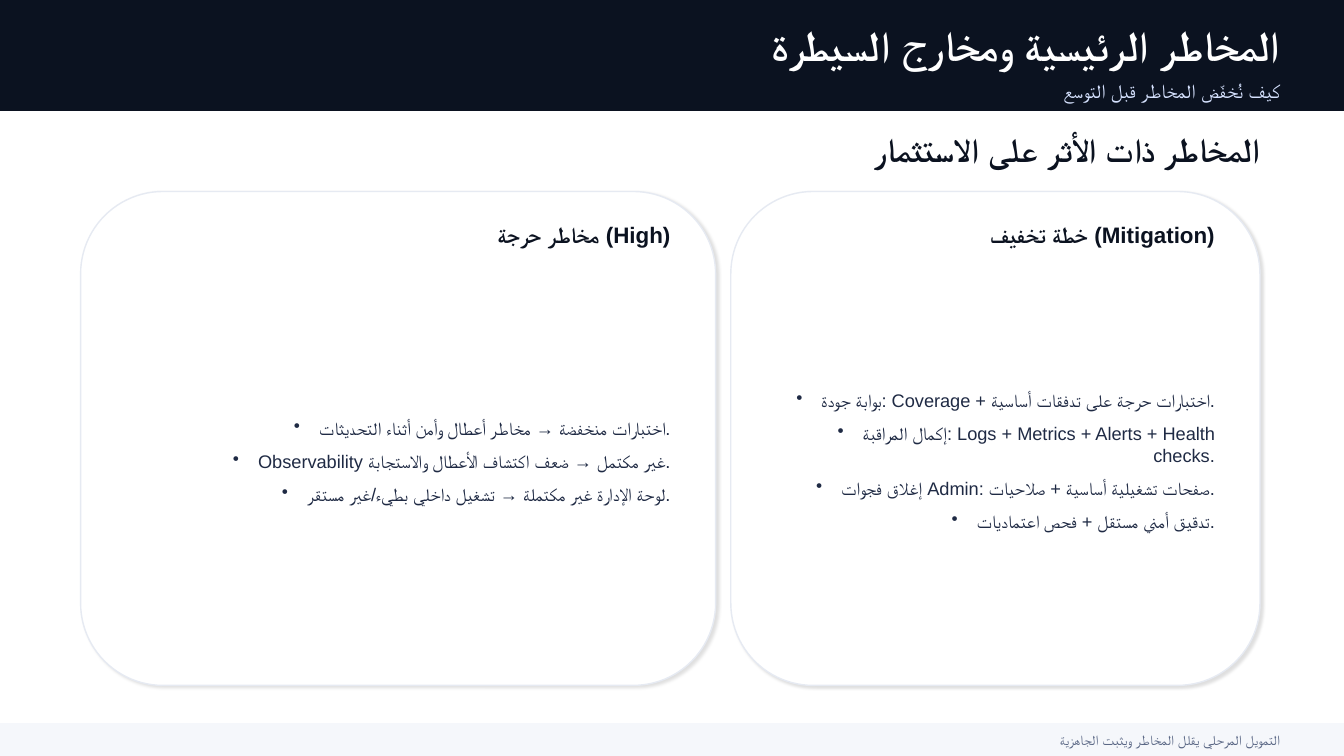
from lxml import etree
from pptx import Presentation
from pptx.dml.color import RGBColor
from pptx.enum.lang import MSO_LANGUAGE_ID
from pptx.enum.shapes import MSO_SHAPE
from pptx.enum.text import MSO_ANCHOR, PP_ALIGN
from pptx.oxml.ns import qn
from pptx.util import Pt

RECT = MSO_SHAPE.RECTANGLE
ROUNDED = MSO_SHAPE.ROUNDED_RECTANGLE
MIDDLE = MSO_ANCHOR.MIDDLE
RIGHT = PP_ALIGN.RIGHT
ENGLISH = MSO_LANGUAGE_ID.ENGLISH_US

PAGE_WIDTH, PAGE_HEIGHT = 960, 540
CARD_TOP, CARD_HEIGHT, CARD_LEFT, CARD_GAP = 136.8, 352.8, 57.6, 10.8
CARD_INSET = 25.2

CARDS = [
    (453.6, "مخاطر حرجة (High)", [
        "اختبارات منخفضة → مخاطر أعطال وأمن أثناء التحديثات.",
        "Observability غير مكتمل → ضعف اكتشاف الأعطال والاستجابة.",
        "لوحة الإدارة غير مكتملة → تشغيل داخلي بطيء/غير مستقر.",
    ]),
    (378, "خطة تخفيف (Mitigation)", [
        "بوابة جودة: Coverage + اختبارات حرجة على تدفقات أساسية.",
        "إكمال المراقبة: Logs + Metrics + Alerts + Health checks.",
        "إغلاق فجوات Admin: صفحات تشغيلية أساسية + صلاحيات.",
        "تدقيق أمني مستقل + فحص اعتماديات.",
    ]),
]


def color(value):
    return RGBColor.from_string(value)


class SlideBuilder:
    font = "Arial"
    navy, white, border = "0B1220", "FFFFFF", "E6EAF2"
    pale, body, subtitle, footer = "F5F7FB", "1F2A44", "D6E2FF", "5A6785"

    def __init__(self, page):
        self.page = page

    def panel(self, kind, left, top, width, height, fill, line):
        shape = self.page.shapes.add_shape(kind, Pt(left), Pt(top), Pt(width), Pt(height))
        shape.fill.solid()
        shape.fill.fore_color.rgb = color(fill)
        shape.line.color.rgb = color(line)
        shape.line.width = Pt(1)
        shape.shadow.inherit = False
        return shape

    def text(self, lines, left, top, width, height, size, tint, bold=False, bullets=False):
        box = self.page.shapes.add_textbox(Pt(left), Pt(top), Pt(width), Pt(height))
        frame = box.text_frame
        frame.word_wrap = True
        frame.vertical_anchor = MIDDLE
        style = {"name": self.font, "size": Pt(size), "bold": bold, "language_id": ENGLISH}
        for index, line in enumerate(lines):
            para = frame.add_paragraph() if index else frame.paragraphs[0]
            para.alignment = RIGHT
            if bullets:
                self.bullet(para)
            span = para.add_run()
            span.text = line
            for name, value in style.items():
                setattr(span.font, name, value)
            span.font.color.rgb = color(tint)
            for script in ("a:ea", "a:cs"):
                etree.SubElement(span.font._element, qn(script), typeface=self.font)

    def bullet(self, para):
        para.space_after = Pt(8)
        properties = para._p.get_or_add_pPr()
        properties.set("marL", str(Pt(18)))
        properties.set("indent", str(Pt(-18)))
        etree.SubElement(properties, qn("a:buChar"), char="•")

    def shadow(self, shape):
        effects = shape._element.spPr.find(qn("a:effectLst"))
        outer = etree.SubElement(effects, qn("a:outerShdw"), blurRad=str(Pt(2)),
                                 dist=str(Pt(2)), dir="2700000", algn="bl", rotWithShape="0")
        black = etree.SubElement(outer, qn("a:srgbClr"), val="000000")
        etree.SubElement(black, qn("a:alpha"), val="12000")

    def card(self, left, width, heading, items):
        self.shadow(self.panel(ROUNDED, left, CARD_TOP, width, CARD_HEIGHT,
                               self.white, self.border))
        inner_left, inner_width = left + CARD_INSET, width - 2 * CARD_INSET
        self.text([heading], inner_left, CARD_TOP + 18, inner_width, 25.2,
                  16, self.navy, bold=True)
        self.text(items, inner_left, CARD_TOP + 50.4, inner_width, 284.4,
                  13, self.body, bullets=True)


def main():
    deck = Presentation()
    deck.slide_width, deck.slide_height = Pt(PAGE_WIDTH), Pt(PAGE_HEIGHT)
    builder = SlideBuilder(deck.slides.add_slide(deck.slide_layouts[6]))

    builder.panel(RECT, 0, 0, PAGE_WIDTH, 79.2, builder.navy, builder.navy)
    builder.text(["المخاطر الرئيسية ومخارج السيطرة"], 43.2, 12.96, 878.4, 37.44,
                 30, builder.white, bold=True)
    builder.text(["كيف نُخفّض المخاطر قبل التوسع"], 43.2, 54.72, 878.4, 20.16,
                 14, builder.subtitle)
    builder.text(["المخاطر ذات الأثر على الاستثمار"], 50.4, 90, 856.8, 32.4,
                 24, builder.navy, bold=True)

    left = CARD_LEFT
    for width, heading, items in CARDS:
        builder.card(left, width, heading, items)
        left += width + CARD_GAP

    builder.panel(RECT, 0, 516.96, PAGE_WIDTH, 23.04, builder.pale, builder.pale)
    builder.text(["التمويل المرحلي يقلل المخاطر ويثبت الجاهزية"], 43.2, 519.84, 878.4, 18,
                 10, builder.footer)
    deck.save("out.pptx")


if __name__ == "__main__":
    main()
